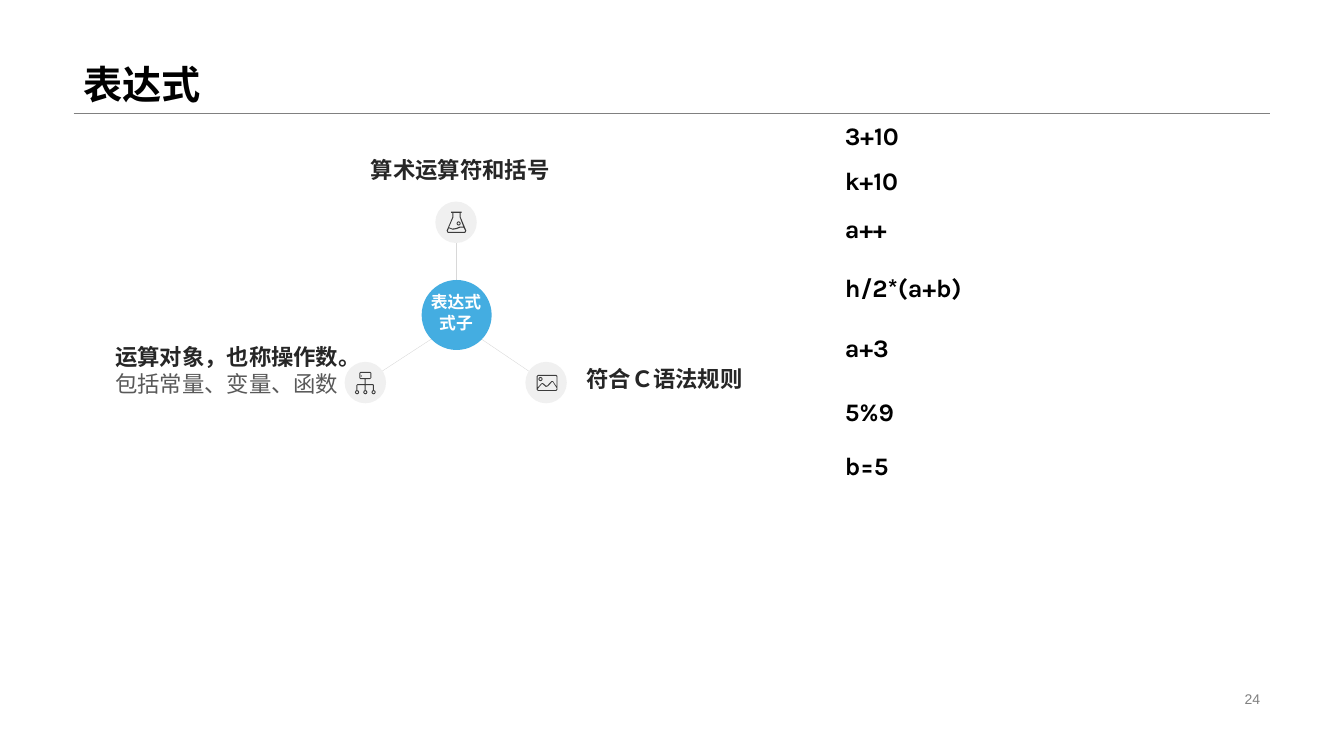
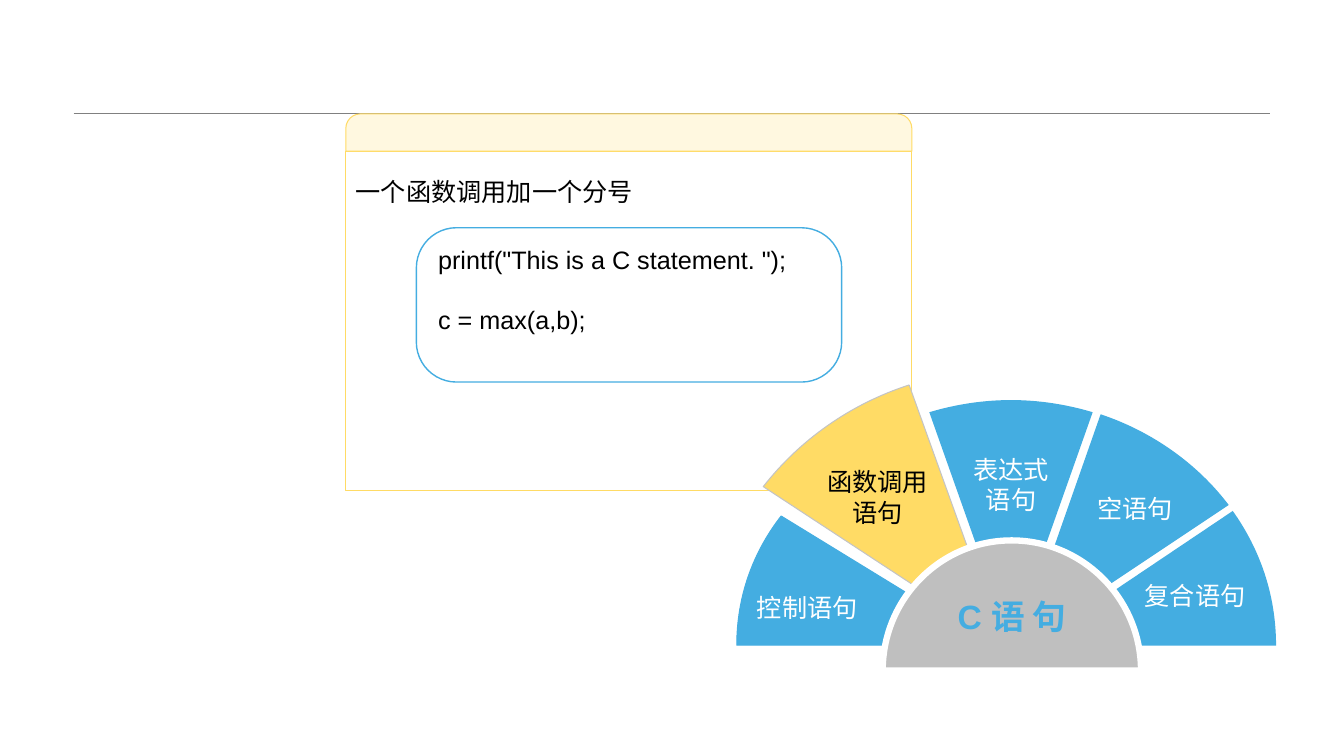
"""Build two slides on C expressions and C statements."""
import math
from dataclasses import dataclass

import pptx
import pptx.dml.color
import pptx.enum.shapes
import pptx.enum.text
import pptx.oxml
import pptx.oxml.ns
import pptx.slide
import pptx.util

Pt = pptx.util.Pt
Align = pptx.enum.text.PP_ALIGN
Anchor = pptx.enum.text.MSO_ANCHOR
Preset = pptx.enum.shapes.MSO_SHAPE
Point = tuple[float, float]
Box = tuple[float, float, float, float]
Curve = tuple[Point, Point, Point, Point]

COLORS = {
    "black": "000000", "white": "FFFFFF", "dark": "262626", "muted": "595959",
    "gray": "808080", "spoke": "D8D8D8", "disc": "F0F0F0", "icon": "3C3C3C",
    "blue": "44ADE1", "yellow": "FFDB65", "cream": "FFF8E0",
    "edge": "C4C4C4", "hub": "BFBFBF",
}
LATIN = "Arial"
CHINESE = "Noto Sans CJK SC"
EXPRESSION_FONT = "Karla"
RULE_Y = 81
MARGIN = 52.6
CONTENT_WIDTH = 854.6
DEFAULT_INSETS = (7.2, 3.6, 7.2, 3.6)
DRAWING_NAMESPACE = pptx.oxml.ns.nsdecls("a")


@dataclass(frozen=True)
class Span:
    text: str
    size: float = 18
    color: str = "black"
    bold: bool = False
    font: str = LATIN


@dataclass(frozen=True)
class Layout:
    align: Align = Align.LEFT
    anchor: Anchor = Anchor.TOP
    insets: Box = DEFAULT_INSETS
    line_spacing: float = 1.0
    gap: float = 0


@dataclass(frozen=True)
class Icon:
    center: Point
    contours: tuple[tuple[Point, ...], ...]
    rings: tuple[Point, ...]


@dataclass(frozen=True)
class Sector:
    lines: tuple[str, ...]
    apex: Point
    arc: Curve
    insets: Box
    fill: str = "blue"
    line: str | None = None
    color: str = "white"
    align: Align = Align.CENTER


ICONS = (
    Icon((261, 273.3), (
        ((-3.5, -7.6), (3.5, -7.6), (4.3, -6.8), (4.3, -3.3), (3.5, -2.5), (0.3, -2.5),
         (0.3, 1.2), (5.5, 1.2), (6.2, 1.9), (6.2, 5.4), (5.5, 5.4), (5.5, 1.9),
         (0.3, 1.9), (0.3, 5.4), (-0.4, 5.4), (-0.4, 1.9), (-5.6, 1.9), (-5.6, 5.4),
         (-6.3, 5.4), (-6.3, 1.9), (-5.6, 1.2), (-0.4, 1.2), (-0.4, -2.5),
         (-3.5, -2.5), (-4.3, -3.3), (-4.3, -6.8)),
        ((-3.6, -6.9), (3.6, -6.9), (3.6, -3.2), (-3.6, -3.2)),
        ((-2.7, -5.1), (-2.3, -4.7), (-2.7, -4.3), (-3.1, -4.7))),
        ((-5.9, 6.9), (0, 6.9), (5.9, 6.9))),
    Icon((390.1, 273.3), (
        ((-5.8, -5.5), (7.2, -5.5), (8.1, -4.6), (8.1, 5.1), (7.2, 6), (-5.8, 6),
         (-6.7, 5.1), (-6.7, -4.6)),
        ((4.3, -0.5), (1.2, 2.7), (-0.2, 3.1), (-2.6, 1), (-3.2, 1.1), (-6.1, 4.7),
         (-5.4, 5.4), (6.9, 5.4), (7.5, 4.7), (7.5, 3.8), (4.8, -0.4)),
        ((7, -4.8), (-5.5, -4.8), (-6.1, -4.2), (-6.1, 3.7), (-3.4, 0.6), (-2.2, 0.4),
         (0, 2.3), (0.8, 2.2), (3.8, -1), (4.9, -1), (7.5, 2.8), (7.5, -4.2))),
        ((-4, -2.5),)),
    Icon((325.8, 158.8), (
        ((-3.5, -7.6), (4, -7.6), (4, -6.8), (3.3, -6.8), (3.3, -3.6), (7.3, 6),
         (6.5, 7.5), (-6, 7.5), (-6.8, 6), (-2.7, -3.6), (-2.7, -6.8), (-3.5, -6.8)),
        ((0.4, 4.8), (-2.4, 5.3), (-5.2, 4.2), (-6, 6.2), (-5.6, 6.8), (6.1, 6.8),
         (6.5, 6), (5.4, 3.8), (3, 3.8)),
        ((-2, -6.8), (-2, -3.5), (-5.1, 3.6), (-2.6, 4.5), (0, 4.1), (2.6, 3.1),
         (5.1, 3), (2.6, -3.5), (2.6, -6.8))),
        ((1.8, 0.8),)),
)
SPOKES = (
    ((325.8, 208), (325.8, 173.5)),
    ((257.8, 275), (326.2, 230.4)),
    ((394.6, 276.5), (325.4, 229.7)),
)
LABELS = (
    ((257.8, 108, 180, 26.6), (Span("算术运算符和括号", 16, "dark", True),)),
    ((411.8, 257, 147.6, 26.6), (Span("符合Ｃ语法规则", 16, "dark", True),)),
    ((75.2, 241.8, 180, 46.1), (
        Span("运算对象，也称操作数。", 16, "dark", True),
        Span("包括常量、变量、函数", 16, "muted", font=CHINESE))),
)
EXPRESSIONS = (
    (149, ("a++",)),
    (190.8, ("h/2*(a+b)", "a+3")),
    (279.4, ("5%9",)),
    (318.2, ("b=5",)),
    (82.4, ("3+10",)),
    (114.5, ("k+10",)),
)
SECTORS = (
    Sector(("控制语句",), (708.5, 460.8),
           ((558, 368.6), (537.8, 394.6), (526.3, 426.2), (526.3, 460.8)),
           (14.4, 42.5, 7.2, 3.6), line="blue", align=Align.JUSTIFY),
    Sector(("表达式", "语句"), (722.2, 459.4),
           ((780.5, 294.5), (741.6, 282.9), (702.8, 282.9), (663.8, 294.5)),
           (7.2, 3.6, 7.2, 56.9)),
    Sector(("空语句",), (728.6, 460.1),
           ((877.7, 360.7), (855.4, 331.2), (823, 308.2), (786.2, 295.9)),
           (22.3, 3.6, 7.2, 33.8)),
    Sector(("函数调用", "语句"), (715.7, 459.4),
           ((649.4, 275), (607, 288.7), (571, 314.6), (545.2, 347.6)),
           (7.2, 3.6, 14.4, 28.1), "yellow", "edge", "black"),
    Sector(("复合语句",), (737.3, 461.2),
           ((911.5, 461.2), (911.5, 424.8), (900, 392.4), (880.6, 365)),
           (65.5, 28.1, 7.2, 3.6)),
)
HUB_CURVES = (
    ((815, 479), (815, 427.9), (773.6, 386), (722.6, 386)),
    ((722.6, 386), (671.6, 386), (630.5, 427.9), (630.5, 479)),
)


def rgb(name: str) -> pptx.dml.color.RGBColor:
    return pptx.dml.color.RGBColor.from_string(COLORS[name])


def points(values: Box) -> list[int]:
    return [Pt(value) for value in values]


def write(shape, paragraphs: tuple[tuple[Span, ...], ...], layout: Layout = Layout()) -> None:
    frame = shape.text_frame
    frame.word_wrap = True
    frame.auto_size = pptx.enum.text.MSO_AUTO_SIZE.NONE
    frame.vertical_anchor = layout.anchor
    (frame.margin_left, frame.margin_top,
     frame.margin_right, frame.margin_bottom) = points(layout.insets)
    for index, spans in enumerate(paragraphs):
        paragraph = frame.add_paragraph() if index else frame.paragraphs[0]
        paragraph.alignment = layout.align
        paragraph.line_spacing = layout.line_spacing
        if index:
            paragraph.space_before = Pt(layout.gap)
        for span in spans:
            run = paragraph.add_run()
            run.text = span.text
            run.font.size = Pt(span.size)
            run.font.bold = span.bold
            run.font.color.rgb = rgb(span.color)
            run.font.name = span.font
            run.font._element.append(pptx.oxml.parse_xml(
                f'<a:ea {DRAWING_NAMESPACE} typeface="{CHINESE}"/>'))


def add_text(slide: pptx.slide.Slide, box: Box, paragraphs: tuple[tuple[Span, ...], ...],
             layout: Layout = Layout()) -> None:
    write(slide.shapes.add_textbox(*points(box)), paragraphs, layout)


def paint(shape, fill: str, line: str | None = None, width: float = 0.75):
    shape.shadow.inherit = False
    shape.fill.solid()
    shape.fill.fore_color.rgb = rgb(fill)
    if line:
        shape.line.color.rgb = rgb(line)
        shape.line.width = Pt(width)
    else:
        shape.line.fill.background()
    return shape


def add_preset(slide: pptx.slide.Slide, preset: Preset, box: Box, fill: str,
               line: str | None = None, width: float = 0.75):
    return paint(slide.shapes.add_shape(preset, *points(box)), fill, line, width)


def add_outline(slide: pptx.slide.Slide, contours: list[list[Point]]):
    scaled = [[(Pt(x), Pt(y)) for x, y in contour] for contour in contours]
    builder = slide.shapes.build_freeform(*scaled[0][0], scale=1.0)
    for index, (start, *rest) in enumerate(scaled):
        if index:
            builder.move_to(*start)
        builder.add_line_segments(rest, close=True)
    return builder.convert_to_shape()


def add_curved(slide: pptx.slide.Slide, curves: tuple[Curve, ...], corners: tuple[Point, ...]):
    outline = [curves[0][0]]
    for a, b, c, d in curves:
        middle = tuple((a[i] + 3 * b[i] + 3 * c[i] + d[i]) / 8 for i in range(2))
        outline += [middle, d]
    shape = add_outline(slide, [outline + list(corners)])
    segments = list(shape.element.iter(pptx.oxml.ns.qn("a:lnTo")))
    for index, controls in enumerate(curves):
        middle_segment, end_segment = segments[2 * index:2 * index + 2]
        nodes = "".join(f'<a:pt x="{Pt(x) - shape.left}" y="{Pt(y) - shape.top}"/>'
                        for x, y in controls[1:])
        bezier = pptx.oxml.parse_xml(
            f"<a:cubicBezTo {DRAWING_NAMESPACE}>{nodes}</a:cubicBezTo>")
        outline_element = middle_segment.getparent()
        outline_element.replace(middle_segment, bezier)
        outline_element.remove(end_segment)
    return shape


def add_line(slide: pptx.slide.Slide, begin: Point, end: Point, color: str) -> None:
    connector = slide.shapes.add_connector(
        pptx.enum.shapes.MSO_CONNECTOR.STRAIGHT, *points(begin + end))
    connector.line.color.rgb = rgb(color)
    connector.line.width = Pt(0.25)
    connector.element.spPr.append(
        pptx.oxml.parse_xml(f"<a:effectLst {DRAWING_NAMESPACE}/>"))


def add_disc(slide: pptx.slide.Slide, center: Point, radius: float, fill: str) -> None:
    box = (center[0] - radius, center[1] - radius, 2 * radius, 2 * radius)
    add_preset(slide, Preset.OVAL, box, fill)


def add_icon(slide: pptx.slide.Slide, icon: Icon) -> None:
    x, y = icon.center
    add_disc(slide, icon.center, 14.8, "disc")
    contours = [[(x + dx, y + dy) for dx, dy in contour] for contour in icon.contours]
    angles = [math.pi * step / 4 for step in range(8)]
    for dx, dy in icon.rings:
        for radius in (1.5, 0.8):
            contours.append([(x + dx + radius * math.cos(angle),
                              y + dy + radius * math.sin(angle)) for angle in angles])
    paint(add_outline(slide, contours), "icon")


def add_sector(slide: pptx.slide.Slide, sector: Sector) -> None:
    shape = paint(add_curved(slide, (sector.arc,), (sector.apex,)), sector.fill, sector.line)
    write(shape, tuple((Span(line, color=sector.color),) for line in sector.lines),
          Layout(sector.align, Anchor.MIDDLE, sector.insets))


def add_slide(presentation, layout_index: int) -> pptx.slide.Slide:
    slide = presentation.slides.add_slide(presentation.slide_layouts[layout_index])
    add_line(slide, (MARGIN, RULE_Y), (MARGIN + CONTENT_WIDTH, RULE_Y), "gray")
    return slide


def build_expressions(presentation) -> None:
    slide = add_slide(presentation, 5)
    title = slide.shapes.title
    title.left, title.top, title.width, title.height = points(
        (MARGIN, 0, CONTENT_WIDTH, RULE_Y))
    write(title, ((Span("表达式", 28, bold=True),),),
          Layout(anchor=Anchor.BOTTOM, line_spacing=0.9))
    add_text(slide, (678.2, 491, 229, 16.6), ((Span("24", 10, "gray"),),),
             Layout(Align.RIGHT, Anchor.MIDDLE))
    for begin, end in SPOKES:
        add_line(slide, begin, end, "spoke")
    for icon in ICONS:
        add_icon(slide, icon)
    for box, spans in LABELS:
        add_text(slide, box, (spans,))
    add_disc(slide, (326.2, 225), 25, "blue")
    add_text(slide, (296.6, 205.2, 58.3, 36),
             tuple((Span(line, 12, "white", True),) for line in ("表达式", "式子")),
             Layout(Align.CENTER))
    for top, lines in EXPRESSIONS:
        add_text(slide, (596.4, top, 204.5, 28.8 + 43 * (len(lines) - 1)),
                 tuple((Span(line, bold=True, font=EXPRESSION_FONT),) for line in lines),
                 Layout(gap=21.4))


def build_statements(presentation) -> None:
    slide = add_slide(presentation, 6)
    panel = add_preset(slide, Preset.RECTANGLE, (247, 108, 404.3, 242.6), "white", "yellow")
    write(panel, ((Span("一个函数调用加一个分号"),),),
          Layout(Align.JUSTIFY, insets=(7.2,) * 4, line_spacing=1.5))
    tab = add_preset(slide, Preset.ROUND_2_SAME_RECTANGLE, (247, 81.4, 404.3, 26.6),
                     "cream", "yellow")
    tab.adjustments[0] = 0.39
    for sector in SECTORS:
        add_sector(slide, sector)
    hub = paint(add_curved(slide, HUB_CURVES, ()), "hub", "white", 4.5)
    write(hub, ((Span("C 语 句", 24, "blue", True),),),
          Layout(Align.CENTER, Anchor.MIDDLE, (0, 14.4, 0, 0)))
    code = add_preset(slide, Preset.ROUNDED_RECTANGLE, (297.4, 162.7, 303.8, 110.2),
                      "white", "blue", 1)
    code.adjustments[0] = 0.26
    write(code, ((Span('printf("This is a C statement. ");'),), (Span("c = max(a,b);"),)),
          Layout(Align.JUSTIFY, gap=21.4))


def main() -> None:
    presentation = pptx.Presentation()
    presentation.slide_width, presentation.slide_height = Pt(960), Pt(540)
    build_expressions(presentation)
    build_statements(presentation)
    presentation.save("out.pptx")


if __name__ == "__main__":
    main()
